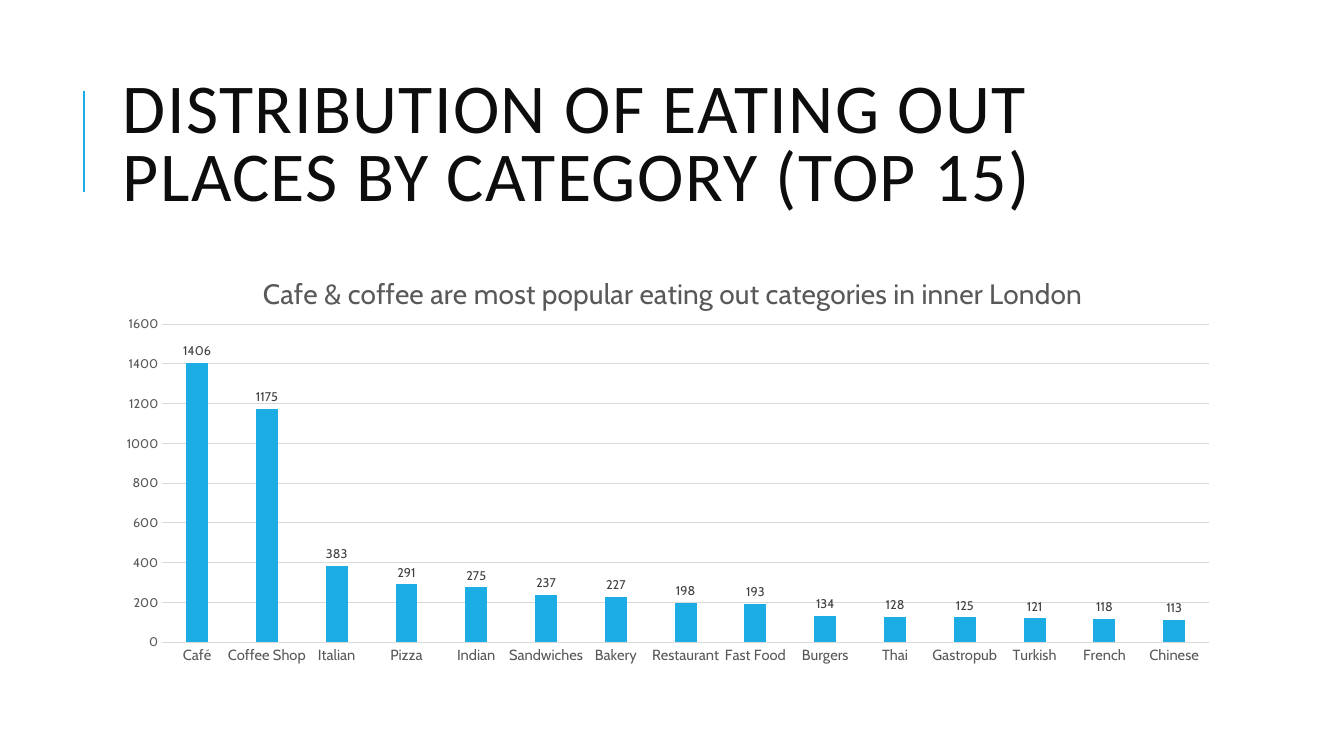
from dataclasses import dataclass

from lxml.etree import SubElement
from pptx import Presentation
from pptx.chart.data import CategoryChartData
from pptx.dml.color import RGBColor
from pptx.enum.chart import XL_CHART_TYPE, XL_LABEL_POSITION, XL_TICK_MARK
from pptx.enum.shapes import MSO_CONNECTOR
from pptx.enum.text import MSO_ANCHOR, MSO_AUTO_SIZE, PP_ALIGN
from pptx.oxml.ns import qn
from pptx.util import Cm, Pt

# Content
TITLE = "DISTRIBUTION OF EATING OUT PLACES BY CATEGORY (TOP 15)"
CHART_TITLE = "Cafe & coffee are most popular eating out categories in inner London"
SERIES = "Series 1"
PLACES = {
    "Café": 1406, "Coffee Shop": 1175, "Italian": 383, "Pizza": 291,
    "Indian": 275, "Sandwiches": 237, "Bakery": 227, "Restaurant": 198,
    "Fast Food": 193, "Burgers": 134, "Thai": 128, "Gastropub": 125,
    "Turkish": 121, "French": 118, "Chinese": 113,
}


@dataclass(frozen=True)
class Theme:
    heading: str = "Calibri"
    body: str = "Cabin"
    accent: RGBColor = RGBColor(0x1C, 0xAD, 0xE4)
    ink: RGBColor = RGBColor(0x0D, 0x0D, 0x0D)
    label: RGBColor = RGBColor(0x40, 0x40, 0x40)
    muted: RGBColor = RGBColor(0x59, 0x59, 0x59)
    grid: RGBColor = RGBColor(0xD9, 0xD9, 0xD9)
    title_size: float = 50
    chart_title_size: float = 20
    base_size: float = 10
    category_size: float = 10.5
    value_size: float = 9


T = Theme()


def style_font(font, name, size, color):
    font.name, font.size, font.bold = name, Pt(size), False
    font.color.rgb = color


def style_line(line, color, width):
    line.color.rgb = color
    line.width = Pt(width)


def place_in_chart(el, **fractions):
    """Pin a chart part at fractions of the chart's size."""
    layout = el.find(qn("c:layout"))
    if layout is None:
        layout = SubElement(el, qn("c:layout"))
        el.insert(0 if el.find(qn("c:tx")) is None else 1, layout)
    manual = SubElement(layout, qn("c:manualLayout"))
    if "w" in fractions:
        SubElement(manual, qn("c:layoutTarget")).set("val", "inner")
    for key in ("x", "y"):
        SubElement(manual, qn(f"c:{key}Mode")).set("val", "edge")
    for key, value in fractions.items():
        SubElement(manual, qn(f"c:{key}")).set("val", str(value))


def add_title(s):
    sp = s.shapes.title
    sp.left, sp.top, sp.width, sp.height = Cm(2.84), Cm(1.63), Cm(27), Cm(4.17)
    tf = sp.text_frame
    tf.text = TITLE
    tf.word_wrap = True
    tf.auto_size = MSO_AUTO_SIZE.NONE
    tf.vertical_anchor = MSO_ANCHOR.MIDDLE
    p = tf.paragraphs[0]
    p.alignment, p.line_spacing = PP_ALIGN.LEFT, 0.8
    r = p.runs[0]
    style_font(r.font, T.heading, T.title_size, T.ink)
    r.font._element.set("spc", "100")


def add_accent_line(s):
    x = Cm(2.12)
    line = s.shapes.add_connector(MSO_CONNECTOR.STRAIGHT, x, Cm(4.83), x, Cm(2.29))
    style_line(line.line, T.accent, 1.5)
    SubElement(line._element.spPr, qn("a:effectLst"))


def add_places_chart(s):
    data = CategoryChartData()
    data.categories = list(PLACES)
    data.add_series(SERIES, list(PLACES.values()))
    chart = s.shapes.add_chart(XL_CHART_TYPE.COLUMN_CLUSTERED, Cm(2.67), Cm(6.35),
                               Cm(28.37), Cm(10.69), data).chart
    style_font(chart.font, T.body, T.base_size, T.muted)
    chart.has_legend = False

    # Chart title
    chart.has_title = True
    tf = chart.chart_title.text_frame
    tf.text = CHART_TITLE
    style_font(tf.paragraphs[0].runs[0].font, T.body, T.chart_title_size, T.muted)
    place_in_chart(chart.chart_title._element, x=0.135, y=0.04)

    # Columns and their labels
    plot = chart.plots[0]
    plot.gap_width, plot.overlap, plot.vary_by_categories = 219, -27, False
    fill = plot.series[0].format.fill
    fill.solid()
    fill.fore_color.rgb = T.accent
    plot.has_data_labels = True
    labels = plot.data_labels
    labels.show_value = True
    labels.position = XL_LABEL_POSITION.OUTSIDE_END
    style_font(labels.font, T.body, T.value_size, T.label)
    place_in_chart(chart._chartSpace.chart.plotArea, x=0.05, y=0.17, w=0.93, h=0.75)

    # Axes
    cat, val = chart.category_axis, chart.value_axis
    for axis, size in ((cat, T.category_size), (val, T.value_size)):
        axis.major_tick_mark = axis.minor_tick_mark = XL_TICK_MARK.NONE
        style_font(axis.tick_labels.font, T.body, size, T.muted)
    style_line(cat.format.line, T.grid, 0.75)
    val.format.line.fill.background()
    val.minimum_scale, val.maximum_scale, val.major_unit = 0, 1600, 200
    val.has_major_gridlines = True
    style_line(val.major_gridlines.format.line, T.grid, 0.75)


def main():
    prs = Presentation()
    prs.slide_width, prs.slide_height = Cm(33.87), Cm(19.05)
    s = prs.slides.add_slide(prs.slide_layouts[5])
    add_accent_line(s)
    add_title(s)
    add_places_chart(s)
    prs.save("out.pptx")


if __name__ == "__main__":
    main()
